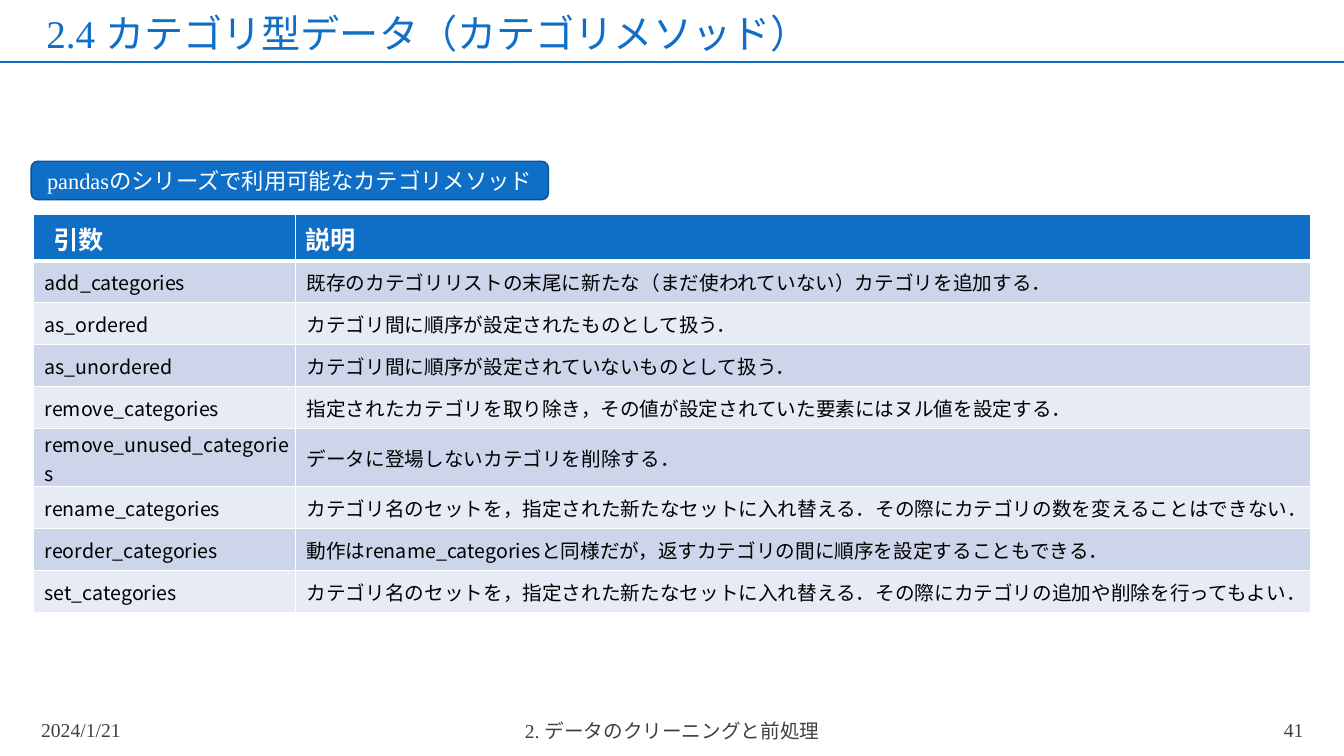
from dataclasses import dataclass
from typing import Any

from lxml import etree
from pptx import Presentation, util as u
from pptx.dml.color import RGBColor
from pptx.enum import shapes, text
from pptx.oxml import ns

BLUE = RGBColor(0x0F, 0x6F, 0xC6)
NAVY = RGBColor(0x0B, 0x52, 0x92)
GRAY = RGBColor(0x40, 0x40, 0x40)
BLACK = RGBColor(0, 0, 0)
WHITE = RGBColor(0xFF, 0xFF, 0xFF)
BANDS = (RGBColor(0xCC, 0xD5, 0xEA), RGBColor(0xE7, 0xEB, 0xF5))
SERIF = "Times New Roman"
SANS = "Noto Sans CJK JP"
ALIGN = text.PP_ALIGN
ANCHOR = text.MSO_ANCHOR


@dataclass
class Style:
    size: float
    color: RGBColor
    face: str = SERIF
    bold: bool = False


@dataclass
class Note:
    words: str
    left: float
    top: float
    width: float
    align: Any


@dataclass
class Method:
    name: str
    about: str
    height: float = 30


TITLE = Style(28, BLUE)
FOOT = Style(14, GRAY)
LABEL = Style(16, WHITE)
HEAD = Style(18, WHITE, SANS, True)
BODY = Style(14, BLACK, SANS)

NOTES = [
    Note("2024/1/21", 22.3, 506.9, 216, ALIGN.LEFT),
    Note("2. データのクリーニングと前処理", 318.2, 507.6, 324, ALIGN.CENTER),
    Note("41", 722.2, 506.9, 216, ALIGN.RIGHT),
]
ROWS = [
    Method("引数", "説明", 32.8),
    Method("add_categories", "既存のカテゴリリストの末尾に新たな（まだ使われていない）カテゴリを追加する．"),
    Method("as_ordered", "カテゴリ間に順序が設定されたものとして扱う．"),
    Method("as_unordered", "カテゴリ間に順序が設定されていないものとして扱う．"),
    Method("remove_categories", "指定されたカテゴリを取り除き，その値が設定されていた要素にはヌル値を設定する．"),
    Method("remove_unused_categories", "データに登場しないカテゴリを削除する．", 41.6),
    Method("rename_categories", "カテゴリ名のセットを，指定された新たなセットに入れ替える．その際にカテゴリの数を変えることはできない．"),
    Method("reorder_categories", "動作はrename_categoriesと同様だが，返すカテゴリの間に順序を設定することもできる．"),
    Method("set_categories", "カテゴリ名のセットを，指定された新たなセットに入れ替える．その際にカテゴリの追加や削除を行ってもよい．"),
]


def apply(item: Any, form: dict[str, Any]) -> None:
    for key, value in form.items():
        setattr(item, key, value)


def place(item: Any, left: float, top: float, width: float, height: float) -> None:
    apply(item, {"left": u.Pt(left), "top": u.Pt(top),
                 "width": u.Pt(width), "height": u.Pt(height)})


def write(frame: Any, words: str, style: Style, align: Any = ALIGN.LEFT) -> None:
    para = frame.paragraphs[0]
    para.alignment = align
    run = para.add_run()
    run.text = words
    apply(run.font, {"name": style.face, "size": u.Pt(style.size), "bold": style.bold})
    run.font.color.rgb = style.color
    etree.SubElement(run.font._element, ns.qn("a:ea"), typeface=SANS)


def border(cell: Any, base: float) -> None:
    props = cell._tc.get_or_add_tcPr()
    sides = {"L": 1, "R": 1, "T": 1, "B": base}
    for spot, (side, width) in enumerate(sides.items()):
        line = etree.Element(ns.qn(f"a:ln{side}"), w=str(u.Pt(width)))
        fill = etree.SubElement(line, ns.qn("a:solidFill"))
        etree.SubElement(fill, ns.qn("a:srgbClr"), val=str(WHITE))
        props.insert(spot, line)


def enter(cell: Any, words: str, style: Style, fill: RGBColor,
          base: float, form: dict[str, Any]) -> None:
    cell.fill.solid()
    cell.fill.fore_color.rgb = fill
    apply(cell, form)
    border(cell, base)
    write(cell.text_frame, words, style)


def add_title(slide: Any) -> None:
    title = slide.shapes.title
    place(title, 25.9, 7.9, 912.2, 36)
    apply(title.text_frame, {"vertical_anchor": ANCHOR.MIDDLE, "word_wrap": True,
                             "auto_size": text.MSO_AUTO_SIZE.NONE})
    write(title.text_frame, "2.4 カテゴリ型データ（カテゴリメソッド）", TITLE)
    title.text_frame.paragraphs[0].line_spacing = 0.9


def add_rule(slide: Any) -> None:
    rule = slide.shapes.add_connector(
        shapes.MSO_CONNECTOR.STRAIGHT, u.Pt(960), u.Pt(44), u.Pt(0), u.Pt(44))
    rule.line.color.rgb = BLUE
    rule.line.width = u.Pt(1.5)
    etree.SubElement(rule._element.spPr, ns.qn("a:effectLst"))


def add_note(slide: Any, note: Note) -> None:
    box = slide.shapes.add_textbox(0, 0, 0, 0)
    place(box, note.left, note.top, note.width, 28.8)
    apply(box.text_frame, {"word_wrap": True, "vertical_anchor": ANCHOR.MIDDLE})
    write(box.text_frame, note.words, FOOT, note.align)


def add_grid(slide: Any) -> None:
    total = sum(method.height for method in ROWS)
    grid = slide.shapes.add_table(
        len(ROWS), 2, u.Pt(24), u.Pt(153.4), u.Pt(912.2), u.Pt(total)).table
    for col, width in zip(grid.columns, (187.2, 725)):
        col.width = u.Pt(width)
    for row, method in enumerate(ROWS):
        grid.rows[row].height = u.Pt(method.height)
        for col, words in enumerate((method.name, method.about)):
            cell = grid.cell(row, col)
            if row:
                form = {"vertical_anchor": ANCHOR.MIDDLE, "margin_left": u.Pt(7.9),
                        "margin_right": u.Pt(0.7), "margin_top": u.Pt(0.7),
                        "margin_bottom": u.Pt(0)}
                enter(cell, words, BODY, BANDS[(row - 1) % 2], 1, form)
            else:
                form = {"vertical_anchor": ANCHOR.BOTTOM,
                        "margin_left": u.Pt(7.2 if col else 14.4)}
                enter(cell, words, HEAD, BLUE, 3, form)


def add_label(slide: Any) -> None:
    label = slide.shapes.add_shape(shapes.MSO_SHAPE.ROUNDED_RECTANGLE, 0, 0, 0, 0)
    place(label, 22.3, 115.2, 369.4, 27.4)
    label.shadow.inherit = False
    label.fill.solid()
    label.fill.fore_color.rgb = BLUE
    label.line.color.rgb = NAVY
    label.line.width = u.Pt(1)
    apply(label.text_frame, {"word_wrap": True, "vertical_anchor": ANCHOR.MIDDLE})
    write(label.text_frame, "pandasのシリーズで利用可能なカテゴリメソッド", LABEL, ALIGN.CENTER)


def main() -> None:
    deck = Presentation()
    apply(deck, {"slide_width": u.Pt(960), "slide_height": u.Pt(540)})
    slide = deck.slides.add_slide(deck.slide_layouts[5])
    add_rule(slide)
    add_title(slide)
    for note in NOTES:
        add_note(slide, note)
    add_grid(slide)
    add_label(slide)
    deck.save("out.pptx")


if __name__ == "__main__":
    main()
